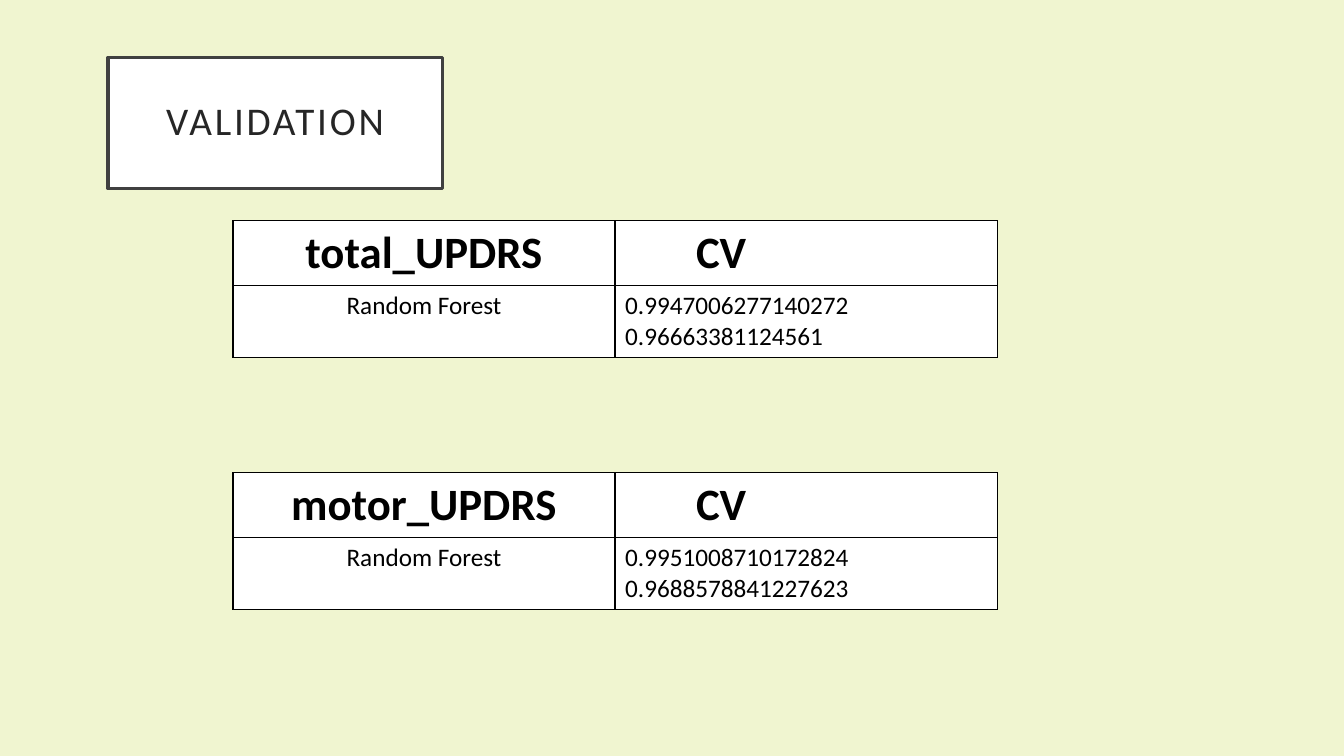
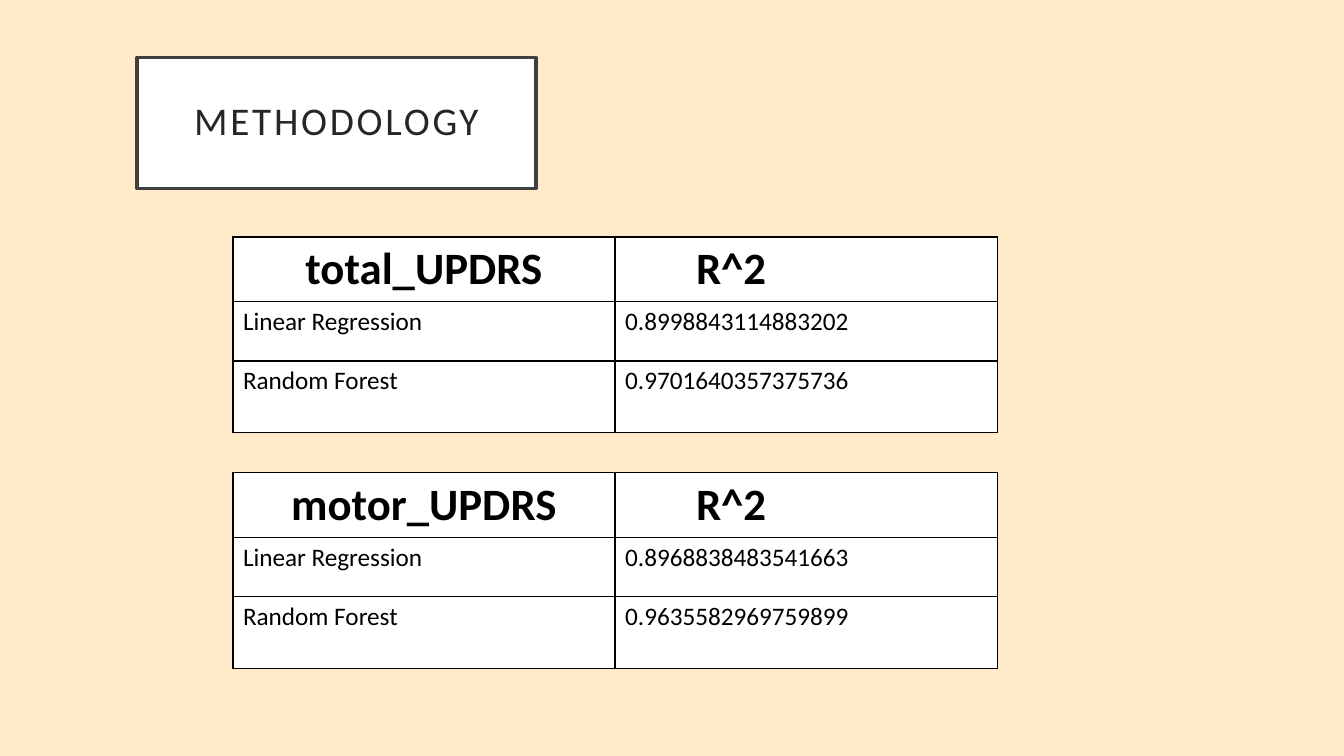
from dataclasses import dataclass

from lxml import etree
from pptx import Presentation
from pptx import util as u
from pptx.dml.color import RGBColor
from pptx.enum import shapes, text
from pptx.oxml import ns
from pptx.slide import Slide
from pptx.table import _Cell
from pptx.text.text import TextFrame

FONT = "Calibri"
BLACK = RGBColor(0x00, 0x00, 0x00)
WHITE = RGBColor(0xFF, 0xFF, 0xFF)
INK = RGBColor(0x26, 0x26, 0x26)
FRAME = RGBColor(0x40, 0x40, 0x40)
GREEN = RGBColor(0xF0, 0xF5, 0xD0)
PEACH = RGBColor(0xFF, 0xEA, 0xCA)

LEFT = text.PP_ALIGN.LEFT
MID = text.PP_ALIGN.CENTER
GRID_X = u.Cm(5.87)
COL = u.Cm(9.63)
HEAD_H, ROW_H, LAST_H = u.Cm(1.63), u.Cm(1.49), u.Cm(1.81)
INDENT = u.Cm(2.04)
LOW_TOP = 11.91


@dataclass(frozen=True)
class Grid:
    top: float
    name: str
    score: str
    rows: tuple[tuple[str, str], ...]
    align: text.PP_ALIGN = LEFT


@dataclass(frozen=True)
class Page:
    title: str
    left: float
    width: float
    back: RGBColor
    grids: tuple[Grid, ...]


PAGES = (
    Page("VALIDATION", 2.72, 8.43, GREEN, (
        Grid(5.56, "total_UPDRS", "CV", (
            ("Random Forest", "0.9947006277140272 0.96663381124561"),
        ), MID),
        Grid(LOW_TOP, "motor_UPDRS", "CV", (
            ("Random Forest", "0.9951008710172824 0.9688578841227623"),
        ), MID),
    )),
    Page("METHODOLOGY", 3.45, 10.06, PEACH, (
        Grid(5.97, "total_UPDRS", "R^2", (
            ("Linear Regression", "0.8998843114883202"),
            ("Random Forest", "0.9701640357375736"),
        )),
        Grid(LOW_TOP, "motor_UPDRS", "R^2", (
            ("Linear Regression", "0.8968838483541663"),
            ("Random Forest", "0.9635582969759899"),
        )),
    )),
)


def write(frame: TextFrame, words: str, *, size: float, color: RGBColor = BLACK,
          bold: bool = False, align: text.PP_ALIGN = LEFT,
          pitch: float = 1.0, track: int = 0) -> None:
    frame.word_wrap = True
    para = frame.paragraphs[0]
    para.alignment = align
    para.line_spacing = pitch
    run = para.add_run()
    run.text = words
    run.font.name = FONT
    run.font.size = u.Pt(size)
    run.font.bold = bold
    run.font.color.rgb = color
    if track:
        run.font._element.set("spc", str(track * 100))


def border(cell: _Cell) -> None:
    props = cell._tc.get_or_add_tcPr()
    for spot, side in enumerate(("lnL", "lnR", "lnT", "lnB")):
        line = etree.Element(ns.qn(f"a:{side}"), w=str(u.Pt(1)))
        fill = etree.SubElement(line, ns.qn("a:solidFill"))
        etree.SubElement(fill, ns.qn("a:srgbClr"), val=str(BLACK))
        props.insert(spot, line)


def title(slide: Slide, page: Page) -> None:
    box = slide.shapes.add_shape(
        shapes.MSO_SHAPE.RECTANGLE,
        u.Cm(page.left), u.Cm(1.45), u.Cm(page.width), u.Cm(3.3))
    box.shadow.inherit = False
    box.fill.solid()
    box.fill.fore_color.rgb = WHITE
    box.line.color.rgb = FRAME
    box.line.width = u.Pt(2.5)
    frame = box.text_frame
    frame.vertical_anchor = text.MSO_ANCHOR.MIDDLE
    frame.margin_left = frame.margin_right = u.Cm(0.51)
    frame.margin_top = frame.margin_bottom = u.Cm(0.51)
    write(frame, page.title, size=28, color=INK, align=MID, pitch=0.9, track=2)


def table(slide: Slide, grid: Grid) -> None:
    lines = ((grid.name, grid.score), *grid.rows)
    highs = [HEAD_H, *[ROW_H] * (len(grid.rows) - 1), LAST_H]
    tab = slide.shapes.add_table(
        len(lines), 2, GRID_X, u.Cm(grid.top), 2 * COL, sum(highs)).table
    for col in tab.columns:
        col.width = COL
    for r, (words, high) in enumerate(zip(lines, highs)):
        tab.rows[r].height = high
        head = r == 0
        for c, word in enumerate(words):
            cell = tab.cell(r, c)
            cell.fill.solid()
            cell.fill.fore_color.rgb = WHITE
            border(cell)
            if head and c == 1:
                cell.margin_left = INDENT
            first = MID if head else grid.align
            write(cell.text_frame, word, size=32 if head else 18, bold=head,
                  align=first if c == 0 else LEFT)


def main() -> None:
    deck = Presentation()
    deck.slide_width, deck.slide_height = u.Cm(33.87), u.Cm(19.05)
    for page in PAGES:
        slide = deck.slides.add_slide(deck.slide_layouts[6])
        slide.background.fill.solid()
        slide.background.fill.fore_color.rgb = page.back
        title(slide, page)
        for grid in page.grids:
            table(slide, grid)
    deck.save("out.pptx")


if __name__ == "__main__":
    main()
